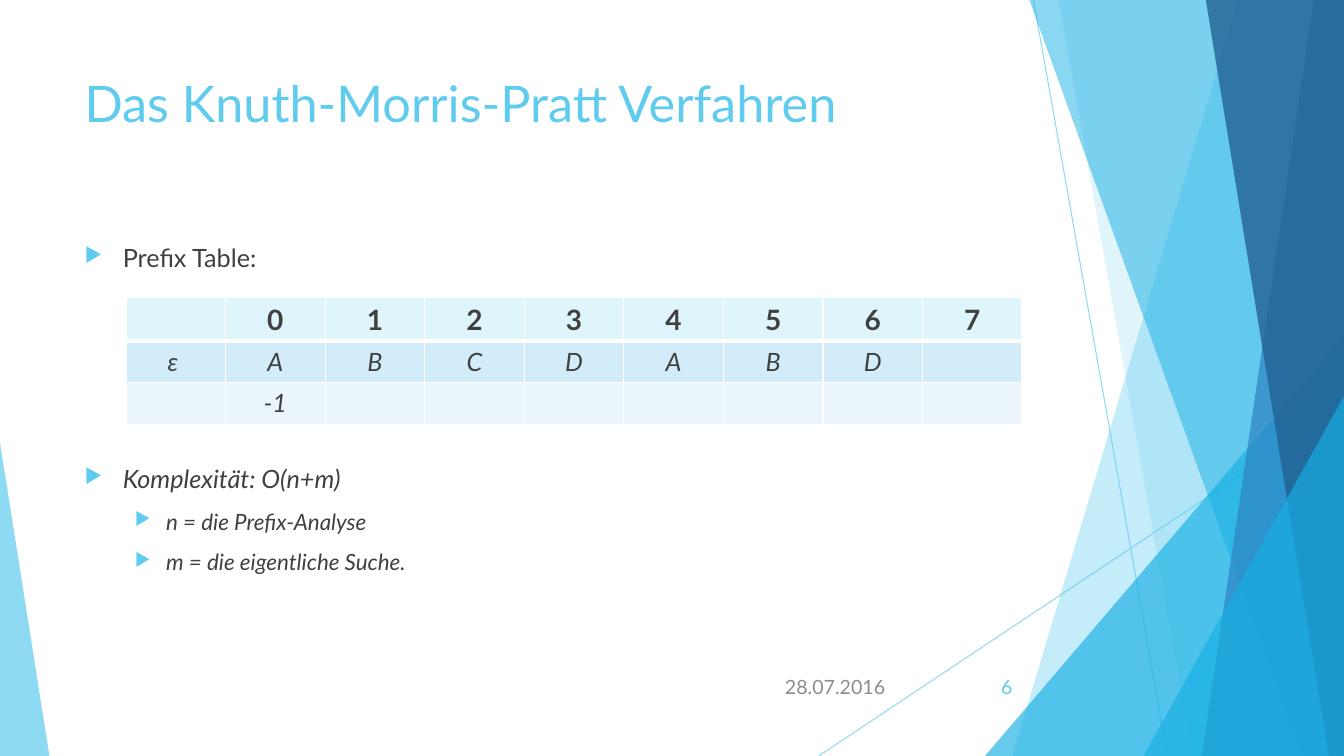
from dataclasses import dataclass

from lxml.etree import SubElement
from pptx import Presentation
from pptx.dml.color import RGBColor
from pptx.enum.shapes import MSO_CONNECTOR as Connector, MSO_SHAPE as Preset
from pptx.enum.text import MSO_ANCHOR as Anchor, PP_ALIGN as Align
from pptx.oxml.ns import qn
from pptx.util import Inches, Pt


@dataclass(frozen=True)
class Theme:
    font: str = "Lato"
    sky: str = "5FCBEF"
    cyan: str = "17B0E4"
    blue: str = "2E83C3"
    navy: str = "226292"
    ink: str = "404040"
    grey: str = "8C8C8C"
    white: str = "FFFFFF"
    header_fill: str = "DFF5FC"
    text_fill: str = "D2ECF9"
    value_fill: str = "EAF6FC"
    title_size: int = 36
    header_size: int = 20
    body_size: int = 18
    sub_size: int = 16
    footer_size: int = 14


@dataclass(frozen=True)
class Ray:
    start: tuple[float, float]
    end: tuple[float, float]


@dataclass(frozen=True)
class Band:
    """Runs from its slanted left edge to the right side of the slide."""
    top_x: float
    bottom_x: float
    color: str
    opacity: int


@dataclass(frozen=True)
class Wedge:
    left: float
    top: float
    width: float
    apex: int
    color: str
    opacity: int


@dataclass(frozen=True)
class Bullet:
    text: str
    size: int
    before: float
    level: int = 0
    italic: bool = True


@dataclass(frozen=True)
class Row:
    entries: list[str]
    fill: str
    size: int
    top_border: int = 1
    bottom_border: int = 1
    bold: bool = False
    italic: bool = False


THEME = Theme()
WIDTH, HEIGHT = 13.33, 7.5
LEFT, CONTENT_WIDTH = 0.74, 9.4

deck = Presentation()
deck.slide_width, deck.slide_height = Inches(WIDTH), Inches(HEIGHT)
slide = deck.slides.add_slide(deck.slide_layouts[6])


def set_opacity(fill, percent: int) -> None:
    color = fill._xPr.find(qn("a:solidFill"))[0]
    SubElement(color, qn("a:alpha"), val=str(percent * 1000))


def paint(shape, color: str, opacity: int) -> None:
    shape.shadow.inherit = False
    shape.fill.solid()
    shape.fill.fore_color.rgb = RGBColor.from_string(color)
    set_opacity(shape.fill, opacity)
    shape.line.fill.background()


def draw_ray(ray: Ray) -> None:
    line = slide.shapes.add_connector(
        Connector.STRAIGHT, *map(Inches, ray.start + ray.end))
    line.line.width = Pt(0.75)
    line.line.color.rgb = RGBColor.from_string(THEME.sky)
    set_opacity(line.line.fill, 70)
    SubElement(line._element.spPr, qn("a:effectLst"))


def draw_band(band: Band) -> None:
    outline = slide.shapes.build_freeform(Inches(band.top_x), 0)
    corners = [(WIDTH, 0), (WIDTH, HEIGHT), (band.bottom_x, HEIGHT)]
    outline.add_line_segments([(Inches(x), Inches(y)) for x, y in corners])
    paint(outline.convert_to_shape(), band.color, band.opacity)


def draw_wedge(wedge: Wedge) -> None:
    triangle = slide.shapes.add_shape(
        Preset.ISOSCELES_TRIANGLE, Inches(wedge.left), Inches(wedge.top),
        Inches(wedge.width), Inches(HEIGHT - wedge.top))
    triangle.adjustments[0] = wedge.apex
    paint(triangle, wedge.color, wedge.opacity)


def write(paragraph, text: str, *, size: int, color: str = THEME.ink,
          bold: bool = False, italic: bool = False, align=Align.LEFT) -> None:
    paragraph.alignment = align
    run = paragraph.add_run()
    run.text = text
    font = run.font
    font.name, font.size, font.bold, font.italic = THEME.font, Pt(size), bold, italic
    font.color.rgb = RGBColor.from_string(color)


def add_frame(left: float, top: float, width: float, height: float,
              anchor=Anchor.TOP):
    box = slide.shapes.add_textbox(*map(Inches, (left, top, width, height)))
    frame = box.text_frame
    frame.word_wrap = True
    frame.vertical_anchor = anchor
    return frame


def add_bullet(paragraph, bullet: Bullet) -> None:
    margin, indent = [(0.38, -0.38), (0.81, -0.31)][bullet.level]
    paragraph.level = bullet.level
    paragraph.space_before = Pt(bullet.before)
    write(paragraph, bullet.text, size=bullet.size, italic=bullet.italic)
    props = paragraph._p.get_or_add_pPr()
    props.set("marL", str(Inches(margin)))
    props.set("indent", str(Inches(indent)))
    SubElement(SubElement(props, qn("a:buClr")), qn("a:srgbClr"), val=THEME.sky)
    SubElement(props, qn("a:buSzPct"), val="80000")
    SubElement(props, qn("a:buChar"), char="▶")


def add_borders(cell, row: Row) -> None:
    props = cell._tc.get_or_add_tcPr()
    widths = {"lnL": 1, "lnR": 1, "lnT": row.top_border, "lnB": row.bottom_border}
    for position, (side, width) in enumerate(widths.items()):
        border = SubElement(props, qn(f"a:{side}"), w=str(Pt(width)))
        fill = SubElement(border, qn("a:solidFill"))
        SubElement(fill, qn("a:srgbClr"), val=THEME.white)
        props.insert(position, border)


def fill_row(cells, row: Row) -> None:
    for cell, entry in zip(cells, row.entries):
        cell.fill.solid()
        cell.fill.fore_color.rgb = RGBColor.from_string(row.fill)
        add_borders(cell, row)
        write(cell.text_frame.paragraphs[0], entry, size=row.size,
              bold=row.bold, italic=row.italic, align=Align.CENTER)


# Decoration, back to front
decoration = [
    Ray((10.25, 0), (11.58, HEIGHT)),
    Ray((WIDTH, 4.03), (8.12, HEIGHT)),
    Band(12.28, 10.04, THEME.sky, 36),
    Band(10.5, 11.83, THEME.sky, 20),
    Wedge(9.77, 3.33, 3.56, 1, THEME.cyan, 66),
    Band(10.21, 12.91, THEME.cyan, 50),
    Band(13.03, 11.92, THEME.blue, 70),
    Band(11.96, 13.18, THEME.navy, 80),
    Wedge(11.34, 3.93, 1.99, 1, THEME.cyan, 66),
    Wedge(0, 4.39, 0.49, 0, THEME.sky, 70),
]
painters = {Ray: draw_ray, Band: draw_band, Wedge: draw_wedge}
for part in decoration:
    painters[type(part)](part)

# Title
title = add_frame(LEFT, 0.67, CONTENT_WIDTH, 1.44)
write(title.paragraphs[0], "Das Knuth-Morris-Pratt Verfahren",
      size=THEME.title_size, color=THEME.sky)

# Bullets; the wide gap leaves room for the table
TABLE_GAP = 136
bullets = [
    Bullet("Prefix Table:", THEME.body_size, 10, italic=False),
    Bullet("Komplexität: O(n+m)", THEME.body_size, TABLE_GAP),
    Bullet("n = die Prefix-Analyse", THEME.sub_size, 10, level=1),
    Bullet("m = die eigentliche Suche.", THEME.sub_size, 10, level=1),
]
body = add_frame(LEFT, 2.36, CONTENT_WIDTH, 4.24)
for number, bullet in enumerate(bullets):
    add_bullet(body.add_paragraph() if number else body.paragraphs[0], bullet)

# Footer
for left, width, text, color in [(7.63, 1.25, "28.07.2016", THEME.grey),
                                 (9.39, 0.75, "6", THEME.sky)]:
    footer = add_frame(left, 6.61, width, 0.4, Anchor.MIDDLE)
    write(footer.paragraphs[0], text, size=THEME.footer_size, color=color,
          align=Align.RIGHT)

# Prefix table
rows = [
    Row(["", *map(str, range(8))], THEME.header_fill, THEME.header_size,
        bottom_border=3, bold=True),
    Row(["ε\u00a0", *"ABCDABD", ""], THEME.text_fill, THEME.body_size,
        top_border=3, italic=True),
    Row(["", "-1"] + [""] * 7, THEME.value_fill, THEME.body_size, italic=True),
]
prefix_table = slide.shapes.add_table(
    len(rows), 9, Inches(1.25), Inches(2.95), Inches(8.89), Inches(1.24)).table
prefix_table.first_row = prefix_table.horz_banding = False
for table_row, row in zip(prefix_table.rows, rows):
    fill_row(table_row.cells, row)

deck.save("out.pptx")
